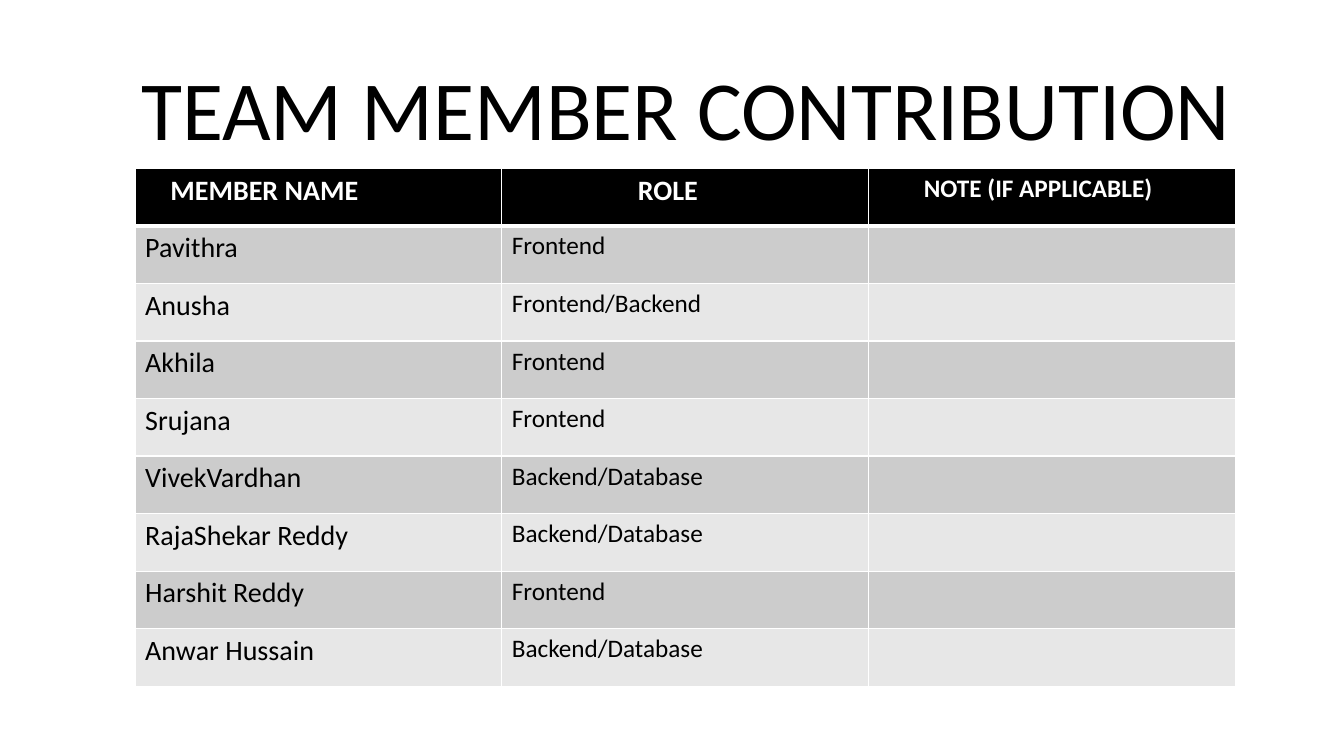
from lxml.etree import SubElement
from pptx import Presentation
from pptx.dml.color import RGBColor
from pptx.enum.text import MSO_ANCHOR
from pptx.oxml.ns import qn
from pptx.util import Inches, Pt

TITLE = "TEAM MEMBER CONTRIBUTION"
HEADERS = [
    ("MEMBER NAME", 20, 0.25),
    ("ROLE", 20, 1.25),
    ("NOTE (IF APPLICABLE)", 18, 0.45),
]
MEMBERS = [
    ("Pavithra", "Frontend"),
    ("Anusha", "Frontend/Backend"),
    ("Akhila", "Frontend"),
    ("Srujana", "Frontend"),
    ("VivekVardhan", "Backend/Database"),
    ("RajaShekar Reddy", "Backend/Database"),
    ("Harshit Reddy", "Frontend"),
    ("Anwar Hussain", "Backend/Database"),
]
BODY_SIZES = (20, 18)
BLACK, WHITE = "000000", "FFFFFF"
BANDS = ("CCCCCC", "E7E7E7")
PAD = 0.1


def color(value):
    return RGBColor.from_string(value)


def write(tf, text, size=18, fill=BLACK, bold=False, spacing=None):
    p = tf.paragraphs[0]
    p.line_spacing = spacing
    r = p.add_run()
    r.text = text
    r.font.name = "Calibri"
    r.font.size = Pt(size)
    r.font.bold = bold
    r.font.color.rgb = color(fill)


def style_cell(cell, fill, top=1, bottom=1):
    cell.fill.solid()
    cell.fill.fore_color.rgb = color(fill)
    tc_pr = cell._tc.get_or_add_tcPr()
    widths = {"L": 1, "R": 1, "T": top, "B": bottom}
    for i, (side, width) in enumerate(widths.items()):
        ln = SubElement(tc_pr, qn(f"a:ln{side}"), w=str(Pt(width)))
        solid = SubElement(ln, qn("a:solidFill"))
        SubElement(solid, qn("a:srgbClr"), val=WHITE)
        tc_pr.insert(i, ln)


def add_title(s):
    box = s.shapes.add_textbox(Inches(0.92), Inches(0.4), Inches(11.5), Inches(1.45))
    tf = box.text_frame
    tf.word_wrap = True
    tf.vertical_anchor = MSO_ANCHOR.MIDDLE
    tf.margin_left = Inches(PAD + 0.38)
    write(tf, TITLE, size=60, spacing=0.9)


def add_members(s):
    frame = s.shapes.add_table(len(MEMBERS) + 1, len(HEADERS), Inches(1.34),
                               Inches(1.67), Inches(10.91), Inches(5.14))
    table = frame.table
    for col, (text, size, indent) in enumerate(HEADERS):
        cell = table.cell(0, col)
        style_cell(cell, BLACK, bottom=3)
        cell.margin_left = Inches(PAD + indent)
        write(cell.text_frame, text, size=size, fill=WHITE, bold=True)
    for row, member in enumerate(MEMBERS, 1):
        for col in range(len(HEADERS)):
            style_cell(table.cell(row, col), BANDS[(row - 1) % 2],
                       top=3 if row == 1 else 1)
        for col, (text, size) in enumerate(zip(member, BODY_SIZES)):
            write(table.cell(row, col).text_frame, text, size=size)


def main():
    prs = Presentation()
    prs.slide_width, prs.slide_height = Inches(13.33), Inches(7.5)
    s = prs.slides.add_slide(prs.slide_layouts[6])
    add_title(s)
    add_members(s)
    prs.save("out.pptx")


if __name__ == "__main__":
    main()
